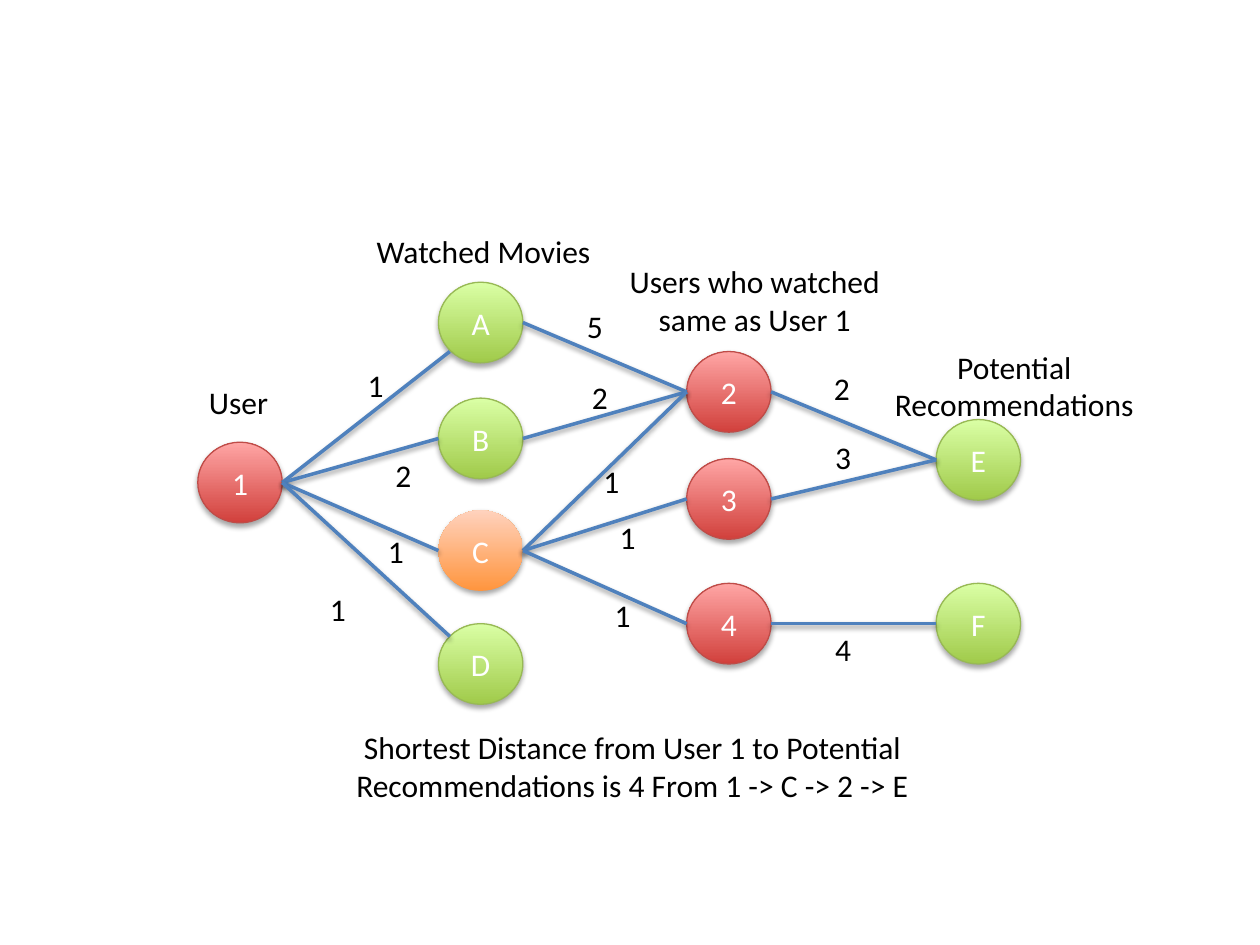
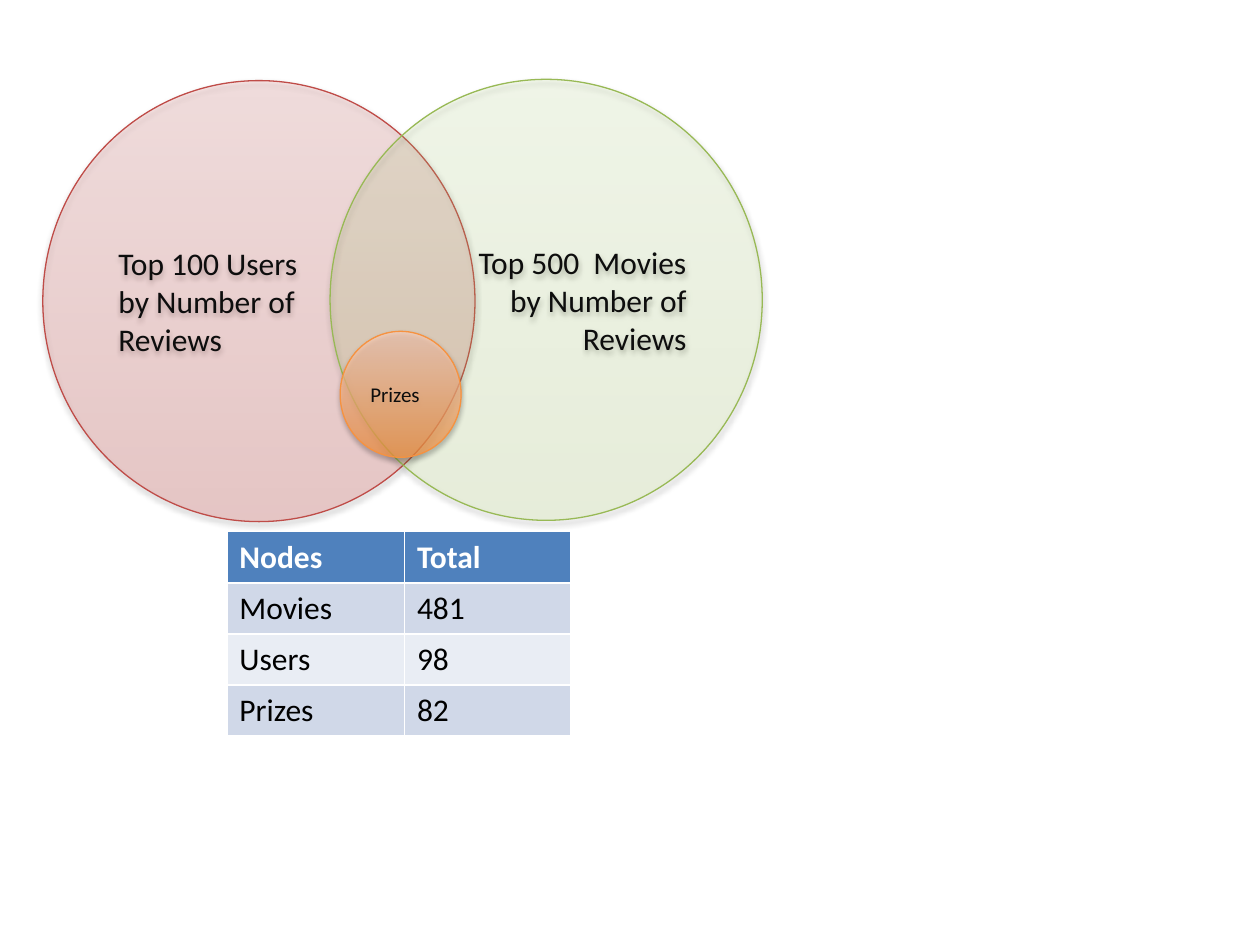
"""Build two slides: a movie recommendation graph and a Venn diagram with node totals."""
import lxml.etree
import pptx
import pptx.dml.color
import pptx.enum.shapes
import pptx.enum.text
import pptx.oxml.ns
import pptx.util

Inches = pptx.util.Inches
Pt = pptx.util.Pt
RGBColor = pptx.dml.color.RGBColor
qn = pptx.oxml.ns.qn
ALIGN = pptx.enum.text.PP_ALIGN

FONT = "Calibri"
WHITE = RGBColor(0xFF, 0xFF, 0xFF)
BLACK = RGBColor(0x00, 0x00, 0x00)
INK = RGBColor(0x0D, 0x0D, 0x0D)
BLUE = RGBColor(0x4F, 0x81, 0xBD)
BAND_DARK = RGBColor(0xD0, 0xD8, 0xE8)
BAND_LIGHT = RGBColor(0xE9, 0xED, 0xF4)
RED = (RGBColor(0xD1, 0x40, 0x3C), RGBColor(0xFF, 0xA6, 0xA5), RGBColor(0xBF, 0x4C, 0x48))
GREEN = (RGBColor(0xA0, 0xCA, 0x4A), RGBColor(0xDA, 0xFF, 0xA5), RGBColor(0x98, 0xB9, 0x55))
ORANGE = (RGBColor(0xFF, 0x95, 0x3E), RGBColor(0xFF, 0xD2, 0xBD), RGBColor(0xF6, 0x92, 0x40))
ORANGE_BARE = (ORANGE[0], ORANGE[1], None)


def write(frame, text, color=BLACK, size=18, bold=False, align=ALIGN.LEFT):
    for index, line in enumerate(text.split("\n")):
        paragraph = frame.add_paragraph() if index else frame.paragraphs[0]
        paragraph.alignment = align
        run = paragraph.add_run()
        run.text = line
        run.font.name = FONT
        run.font.size = Pt(size)
        run.font.bold = bold
        run.font.color.rgb = color


def cast_shadow(properties, distance, opacity):
    effects = properties.find(qn("a:effectLst"))
    if effects is None:
        effects = lxml.etree.SubElement(properties, qn("a:effectLst"))
    shadow = lxml.etree.SubElement(
        effects, qn("a:outerShdw"), blurRad=str(Pt(3.1)), dist=str(Pt(distance)),
        dir="5400000", rotWithShape="0")
    black = lxml.etree.SubElement(shadow, qn("a:srgbClr"), val="000000")
    lxml.etree.SubElement(black, qn("a:alpha"), val=str(opacity * 1000))


deck = pptx.Presentation()
deck.slide_width = Inches(10)
deck.slide_height = Inches(7.5)
blank = deck.slide_layouts[6]
graph = deck.slides.add_slide(blank)
venn = deck.slides.add_slide(blank)

NODE_W, NODE_H = 0.67, 0.64
USER_X, WATCHED_X, PEER_X, POTENTIAL_X = 1.57, 3.48, 5.45, 7.43
nodes = {
    "1": (USER_X, 3.51, RED),
    "A": (WATCHED_X, 2.24, GREEN),
    "B": (WATCHED_X, 3.16, GREEN),
    "C": (WATCHED_X, 4.05, ORANGE_BARE),
    "D": (WATCHED_X, 4.95, GREEN),
    "2": (PEER_X, 2.79, RED),
    "3": (PEER_X, 3.64, RED),
    "4": (PEER_X, 4.63, RED),
    "E": (POTENTIAL_X, 3.33, GREEN),
    "F": (POTENTIAL_X, 4.63, GREEN),
}
circles = [
    (graph, x, y, NODE_W, NODE_H, palette, 100, name,
     {"color": WHITE, "align": ALIGN.CENTER})
    for name, (x, y, palette) in nodes.items()
]
circles += [
    (venn, 0.34, 0.64, 3.43, 3.5, RED, 22,
     "Top 100 Users\nby Number of\nReviews", {"color": INK}),
    (venn, 2.62, 0.63, 3.43, 3.5, GREEN, 14,
     "Top 500  Movies\nby Number of\nReviews", {"color": INK, "align": ALIGN.RIGHT}),
    (venn, 2.7, 2.63, 0.96, 1, ORANGE, 65, "Prizes", {"color": INK, "size": 12}),
]
for slide, x, y, width, height, palette, opacity, text, style in circles:
    circle = slide.shapes.add_shape(
        pptx.enum.shapes.MSO_SHAPE.OVAL, Inches(x), Inches(y), Inches(width), Inches(height))
    circle.fill.gradient()
    circle.fill.gradient_angle = 90
    for position, (stop, shade) in enumerate(zip(circle.fill.gradient_stops, palette)):
        stop.position = position
        stop.color.rgb = shade
    if opacity < 100:
        for shade in circle.fill._xPr.iter(qn("a:srgbClr")):
            lxml.etree.SubElement(shade, qn("a:alpha"), val=str(opacity * 1000))
    outline = palette[2]
    if outline is None:
        circle.line.fill.background()
    else:
        circle.line.color.rgb = outline
        circle.line.width = Pt(0.75)
    circle.shadow.inherit = False
    cast_shadow(circle._element.spPr, 1.8, 35)
    write(circle.text_frame, text, **style)

captions = [
    ("User", 1.56, 2.99, 0.68, 0.4, False),
    ("Watched Movies", 2.89, 1.79, 1.93, 0.4, False),
    ("Users who watched same as User 1", 4.89, 2.03, 2.2, 0.71, True),
    ("Potential Recommendations", 6.95, 2.71, 2.2, 0.71, True),
    ("Shortest Distance from User 1 to Potential Recommendations is 4 From 1 -> C -> 2 -> E",
     2.54, 5.73, 4.96, 0.71, True),
]
edges = [
    ("1", "A", "1", 2.82, 2.86),
    ("1", "B", "2", 3.04, 3.57),
    ("1", "C", "1", 2.98, 4.17),
    ("1", "D", "1", 2.52, 4.63),
    ("A", "2", "5", 4.56, 2.39),
    ("B", "2", "2", 4.6, 2.95),
    ("C", "2", "1", 4.69, 3.62),
    ("C", "3", "1", 4.82, 4.06),
    ("C", "4", "1", 4.78, 4.68),
    ("2", "E", "2", 6.52, 2.88),
    ("3", "E", "3", 6.53, 3.43),
    ("4", "F", "4", 6.53, 4.95),
]
diagonal_entry = {"A": (0.09, 0.55), "D": (0.09, 0.1)}
for start, end, weight, weight_x, weight_y in edges:
    start_x, start_y, _ = nodes[start]
    end_x, end_y, _ = nodes[end]
    entry_x, entry_y = diagonal_entry.get(end, (0, NODE_H / 2))
    edge = graph.shapes.add_connector(
        pptx.enum.shapes.MSO_CONNECTOR.STRAIGHT,
        Inches(start_x + NODE_W), Inches(start_y + NODE_H / 2),
        Inches(end_x + entry_x), Inches(end_y + entry_y))
    edge.line.color.rgb = BLUE
    edge.line.width = Pt(2)
    cast_shadow(edge._element.spPr, 1.6, 38)
    captions.append((weight, weight_x, weight_y, 0.33, 0.4, False))

for text, x, y, width, height, wraps in captions:
    caption = graph.shapes.add_textbox(Inches(x), Inches(y), Inches(width), Inches(height))
    caption.text_frame.word_wrap = wraps
    caption.text_frame.auto_size = pptx.enum.text.MSO_AUTO_SIZE.SHAPE_TO_FIT_TEXT
    write(caption.text_frame, text, align=ALIGN.CENTER if wraps else ALIGN.LEFT)

totals = [("Nodes", "Total"), ("Movies", "481"), ("Users", "98"), ("Prizes", "82")]
table = venn.shapes.add_table(
    len(totals), 2, Inches(1.8), Inches(4.22), Inches(2.73), Inches(1.62)).table
table.columns[0].width = Inches(1.41)
table.columns[1].width = Inches(1.32)
row_fills = [BLUE, BAND_DARK, BAND_LIGHT, BAND_DARK]
for row, (entries, row_fill) in enumerate(zip(totals, row_fills)):
    heading = row == 0
    for column, entry in enumerate(entries):
        cell = table.cell(row, column)
        cell.fill.solid()
        cell.fill.fore_color.rgb = row_fill
        write(cell.text_frame, entry, color=WHITE if heading else BLACK, bold=heading)

deck.save("out.pptx")
